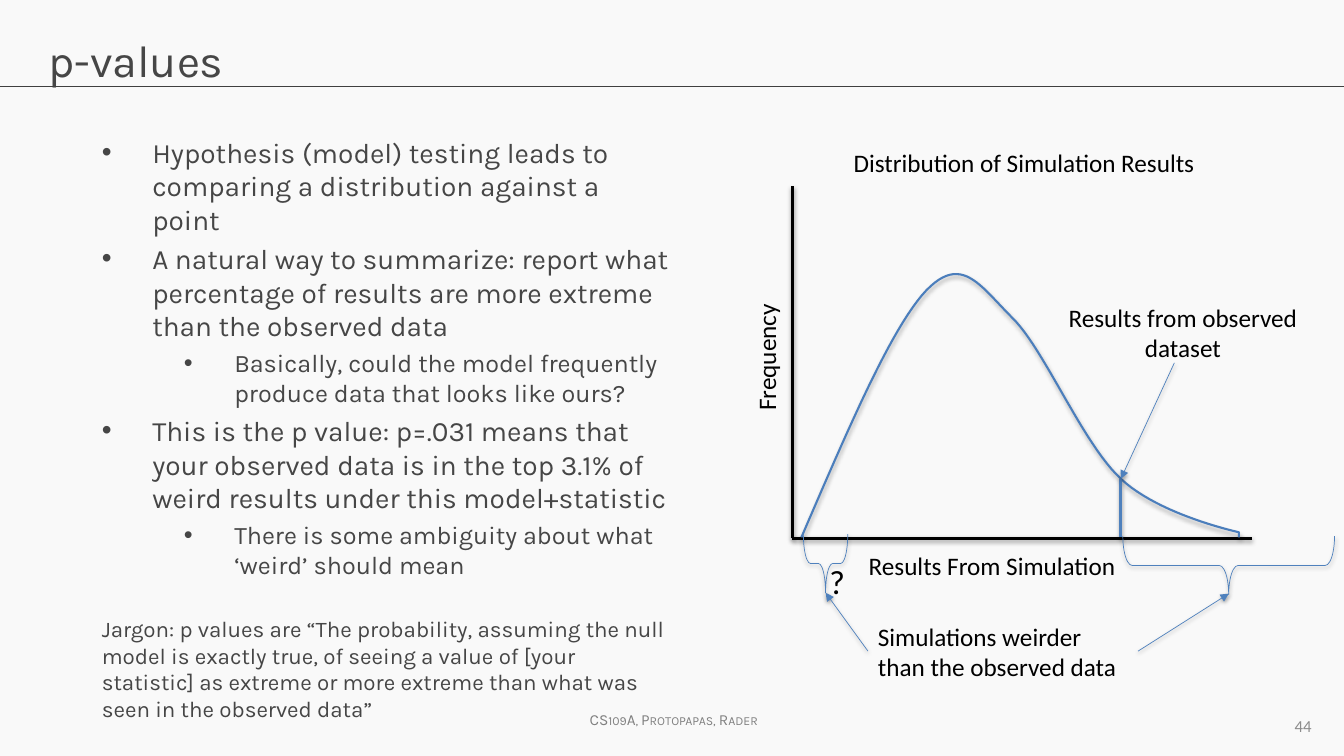
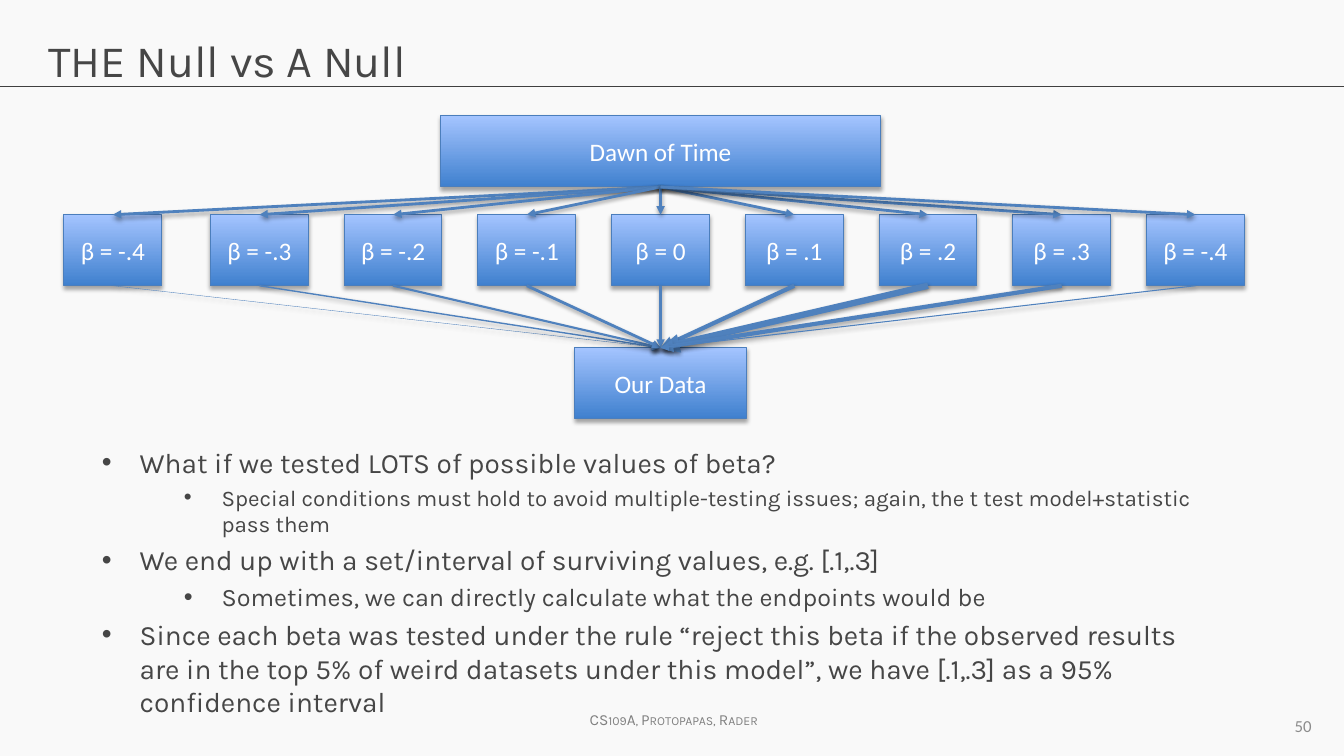
from dataclasses import dataclass

from lxml import etree
from pptx import Presentation, util as u
from pptx.dml import color
from pptx.enum import shapes, text
from pptx.oxml import ns

# The grid divides the slide into 100 columns and 100 rows
WIDTH, HEIGHT = u.Inches(13.333), u.Inches(7.5)
COL, ROW = WIDTH / 100, HEIGHT / 100


@dataclass(frozen=True)
class Theme:
    paper: str = "F9F9F9"
    rule: str = "404040"
    ink: str = "464646"
    footer: str = "808080"
    number: str = "8C8C8C"
    black: str = "000000"
    white: str = "FFFFFF"
    blue: str = "4F81BD"
    edge: str = "4B7EBC"
    light: str = "A4C4FF"
    deep: str = "3F80CE"
    head_font: str = "Karla"
    label_font: str = "Calibri"
    title: int = 32
    body: int = 20
    sub: int = 18
    note: int = 16
    label: int = 18
    mark: int = 24
    page: int = 12
    credit: int = 11


T = Theme()
LEFT, CENTER, RIGHT = (text.PP_ALIGN.LEFT, text.PP_ALIGN.CENTER,
                       text.PP_ALIGN.RIGHT)
TOP, MIDDLE = text.MSO_ANCHOR.TOP, text.MSO_ANCHOR.MIDDLE


# Helpers
def rgb(code):
    return color.RGBColor.from_string(code)


def grid(x, y):
    return round(x * COL), round(y * ROW)


def box(x, y, w, h):
    return grid(x, y) + grid(w, h)


def turned(x, y, w, h):
    """Frame that covers the given box after a quarter turn."""
    left, top, wide, tall = box(x, y, w, h)
    shift = (wide - tall) // 2
    return left + shift, top - shift, tall, wide


def assign(obj, **values):
    for name, value in values.items():
        setattr(obj, name, value)


def add_xml(parent, tag, **attrs):
    node = etree.SubElement(parent, ns.qn(tag))
    for name, value in attrs.items():
        node.set(name, str(value))
    return node


def set_font(font, size, name, code):
    assign(font, size=u.Pt(size), name=name, bold=False)
    font.color.rgb = rgb(code)


def set_line(shape, code, width):
    shape.line.color.rgb = rgb(code)
    shape.line.width = u.Pt(width)


def set_shadow(shape, alpha=38, dist=1.6):
    effects = add_xml(shape._element.spPr, "a:effectLst")
    if alpha:
        outer = add_xml(effects, "a:outerShdw", blurRad=u.Pt(3.1),
                        dist=u.Pt(dist), dir=90 * 60000, rotWithShape=0)
        tint = add_xml(outer, "a:srgbClr", val=T.black)
        add_xml(tint, "a:alpha", val=alpha * 1000)


# Kinds of element
def add_label(s, frame, words, size=T.label, font=T.label_font, code=T.black,
              align=LEFT, anchor=TOP):
    sp = s.shapes.add_textbox(*frame)
    tf = sp.text_frame
    assign(tf, word_wrap=True, vertical_anchor=anchor)
    p = tf.paragraphs[0]
    p.alignment = align
    r = p.add_run()
    r.text = words
    set_font(r.font, size, font, code)
    return sp


def add_line(s, start, end, code=T.blue, width=0.5, arrow=False, alpha=38):
    """Line between two grid points, or from one shape's foot to another's top."""
    glued = hasattr(start, "shape_id")
    ends = (0, 0, 0, 0) if glued else grid(*start) + grid(*end)
    line = s.shapes.add_connector(shapes.MSO_CONNECTOR.STRAIGHT, *ends)
    if glued:
        line.begin_connect(start, 2)
        line.end_connect(end, 0)
    set_line(line, code, width)
    if arrow:
        add_xml(line._element.spPr.find(ns.qn("a:ln")), "a:tailEnd",
                type="triangle")
    set_shadow(line, alpha)


def add_brace(s, x, y, w, h):
    brace = s.shapes.add_shape(shapes.MSO_SHAPE.LEFT_BRACE,
                               *turned(x, y, w, h))
    brace.rotation = 270
    brace.adjustments[0] = 0.16
    brace.fill.background()
    set_line(brace, T.blue, 0.5)
    set_shadow(brace)


def add_block(s, mid, y, w, words):
    block = s.shapes.add_shape(shapes.MSO_SHAPE.RECTANGLE,
                               *box(mid - w / 2, y, w, 9.4))
    block.fill.gradient()
    block.fill.gradient_angle = 270
    for stop, code in zip(block.fill.gradient_stops, (T.light, T.deep)):
        stop.color.rgb = rgb(code)
    set_line(block, T.edge, 0.75)
    set_shadow(block, 35, 1.8)
    tf = block.text_frame
    tf.vertical_anchor = MIDDLE
    p = tf.paragraphs[0]
    p.text, p.alignment = words, CENTER
    set_font(p.font, T.label, T.label_font, T.white)
    return block


def add_curve(s, start, pieces, end):
    """Smooth outline from cubic pieces (two handles and a knot each)."""
    points, knot = [], start
    for a, b, c in pieces:
        for t in (i / 24 for i in range(1, 25)):
            k = 1 - t
            points.append(grid(*(
                k**3 * p0 + 3 * k * k * t * p1 + 3 * k * t * t * p2 + t**3 * p3
                for p0, p1, p2, p3 in zip(knot, a, b, c))))
        knot = c
    pen = s.shapes.build_freeform(*grid(*start))
    pen.add_line_segments(points + [grid(*end)], close=False)
    curve = pen.convert_to_shape()
    curve.fill.background()
    set_line(curve, T.edge, 1.5)
    set_shadow(curve, 35, 1.8)


def fill_body(s, frame, hang, items):
    """Items are (level, size, words); level None is a plain closing note."""
    body = s.placeholders[1]
    assign(body, **dict(zip(("left", "top", "width", "height"), frame)))
    tf = body.text_frame
    assign(tf, auto_size=text.MSO_AUTO_SIZE.NONE, vertical_anchor=TOP)
    for i, (level, size, words) in enumerate(items):
        p = tf.paragraphs[0] if i == 0 else tf.add_paragraph()
        p.text = words
        pPr = p._p.get_or_add_pPr()
        if level is None:
            pPr.set("marL", "0")
            pPr.set("indent", "0")
            add_xml(pPr, "a:buNone")
            space = 25
        else:
            p.level = level
            pPr.set("marL", str(round((hang + level * 6.1) * COL)))
            pPr.set("indent", str(round(-hang * COL)))
            add_xml(pPr, "a:buFont", typeface="Arial")
            add_xml(pPr, "a:buChar", char="•")
            space = 0.2 * size if i else 0
        assign(p, space_before=u.Pt(space), alignment=LEFT)
        set_font(p.font, size, T.head_font, T.ink)


def add_slide(prs, title, number):
    """Slide with the shared title, rule, footer and page number."""
    s = prs.slides.add_slide(prs.slide_layouts[1])
    add_line(s, (0, 11.5), (100, 11.5), T.rule, 0.75, alpha=0)
    add_label(s, box(43.13, 93.33, 14.78, 3.87), "CS109A, Protopapas, Rader",
              T.credit, T.head_font, T.footer
              ).text_frame.paragraphs[0].runs[0].font._element.set("cap", "small")
    add_label(s, box(75, 93.33, 23.33, 5.33), number, T.page, T.label_font,
              T.number, RIGHT, MIDDLE)
    head = s.shapes.title
    assign(head, **dict(zip(("left", "top", "width", "height"),
                            box(2.85, 3.2, 94.28, 11.2))))
    tf = head.text_frame
    assign(tf, vertical_anchor=TOP, margin_top=u.Inches(0.08),
           auto_size=text.MSO_AUTO_SIZE.NONE)
    p = tf.paragraphs[0]
    p.text, p.alignment = title, LEFT
    set_font(p.font, T.title, T.head_font, T.ink)
    return s


# Slides
def p_values(prs):
    s = add_slide(prs, "p-values", "44")
    fill_body(s, box(6.83, 17.2, 43.88, 68.93), 3.75, [
        (0, T.body, "Hypothesis (model) testing leads to comparing a distribution against a point"),
        (0, T.body, "A natural way to summarize: report what percentage of results are more extreme than the observed data"),
        (1, T.sub, "Basically, could the model frequently produce data that looks like ours?"),
        (0, T.body, "This is the p value: p=.031 means that your observed data is in the top 3.1% of weird results under this model+statistic"),
        (1, T.sub, "There is some ambiguity about what ‘weird’ should mean"),
        (None, T.note, "Jargon: p values are “The probability, assuming the null model is exactly true, of seeing a value of [your statistic] as extreme or more extreme than what was seen in the observed data”"),
    ])

    # Axes and distribution
    origin, observed, base = (58.95, 71.2), (83.4, 63.33), 71.07
    for end in ((93.15, 71.2), (58.95, 24.67)):
        add_line(s, origin, end, T.black, 2)
    tail = (92.18, 70.4)
    add_curve(s, (59.63, base), [
        ((63, 57.2), (66.3, 43.33), (68.93, 38.4)),
        ((71.55, 33.6), (72.9, 37.73), (75.3, 42)),
        ((77.7, 46.13), (80.55, 58.67), observed),
        ((86.25, 68.13), tail, tail),
    ], (tail[0], base))
    add_line(s, observed, (observed[0], base), width=2)

    # Labels
    for frame, words, align in (
            ((62.78, 18.8, 27, 5.33), "Distribution of Simulation Results", LEFT),
            ((63.9, 72.13, 20.7, 5.33), "Results From Simulation", LEFT),
            ((77.7, 39.33, 20.63, 9.47), "Results from observed dataset", CENTER),
            ((64.58, 81.47, 20.1, 9.47), "Simulations weirder than the observed data", LEFT)):
        add_label(s, box(*frame), words, align=align)
    add_label(s, turned(55.5, 37.4, 3, 18.27), "Frequency").rotation = 270

    # Tails and pointers
    add_brace(s, 83.55, 70.93, 15.75, 7.73)
    add_brace(s, 59.78, 70.67, 3.3, 7.73)
    for start, end in (((87.38, 48), observed),
                       ((84.68, 86.13), (91.43, 78.53)),
                       ((64.58, 86.13), (61.43, 78.4))):
        add_line(s, start, end, arrow=True)
    add_label(s, box(60.98, 73.6, 4.13, 6.67), "?", T.mark)


def null_models(prs):
    s = add_slide(prs, "THE Null vs A Null", "50")
    fill_body(s, box(6.83, 58.27, 84.68, 32.4), 2.81, [
        (0, T.body, "What if we tested LOTS of possible values of beta?"),
        (1, T.note, "Special conditions must hold to avoid multiple-testing issues; again, the t test model+statistic pass them"),
        (0, T.body, "We end up with a set/interval of surviving values, e.g. [.1,.3]"),
        (1, T.sub, "Sometimes, we can directly calculate what the endpoints would be"),
        (0, T.body, "Since each beta was tested under the rule “reject this beta if the observed results are in the top 5% of weird datasets under this model”, we have [.1,.3] as a 95% confidence interval"),
    ])

    # Each beta links the origin to the data; width shows its support
    middle, step = 49.15, 9.95
    dawn = add_block(s, middle, 15.33, 32.7, "Dawn of Time")
    data = add_block(s, middle, 46, 12.75, "Our Data")
    betas = (("-.4", 0.25), ("-.3", 1), ("-.2", 1.5), ("-.1", 2), ("0", 2),
             (".1", 3), (".2", 4.5), (".3", 3), ("-.4", 0.75))
    for i, (value, width) in enumerate(betas):
        mid = middle + (i - 4) * step if i else 8.4
        beta = add_block(s, mid, 28.4, 7.28, f"β = {value}")
        add_line(s, dawn, beta, width=2, arrow=True)
        add_line(s, beta, data, width=width, arrow=True)


def main():
    prs = Presentation()
    assign(prs, slide_width=WIDTH, slide_height=HEIGHT)
    fill = prs.slide_master.background.fill
    fill.solid()
    fill.fore_color.rgb = rgb(T.paper)
    p_values(prs)
    null_models(prs)
    prs.save("out.pptx")


if __name__ == "__main__":
    main()
